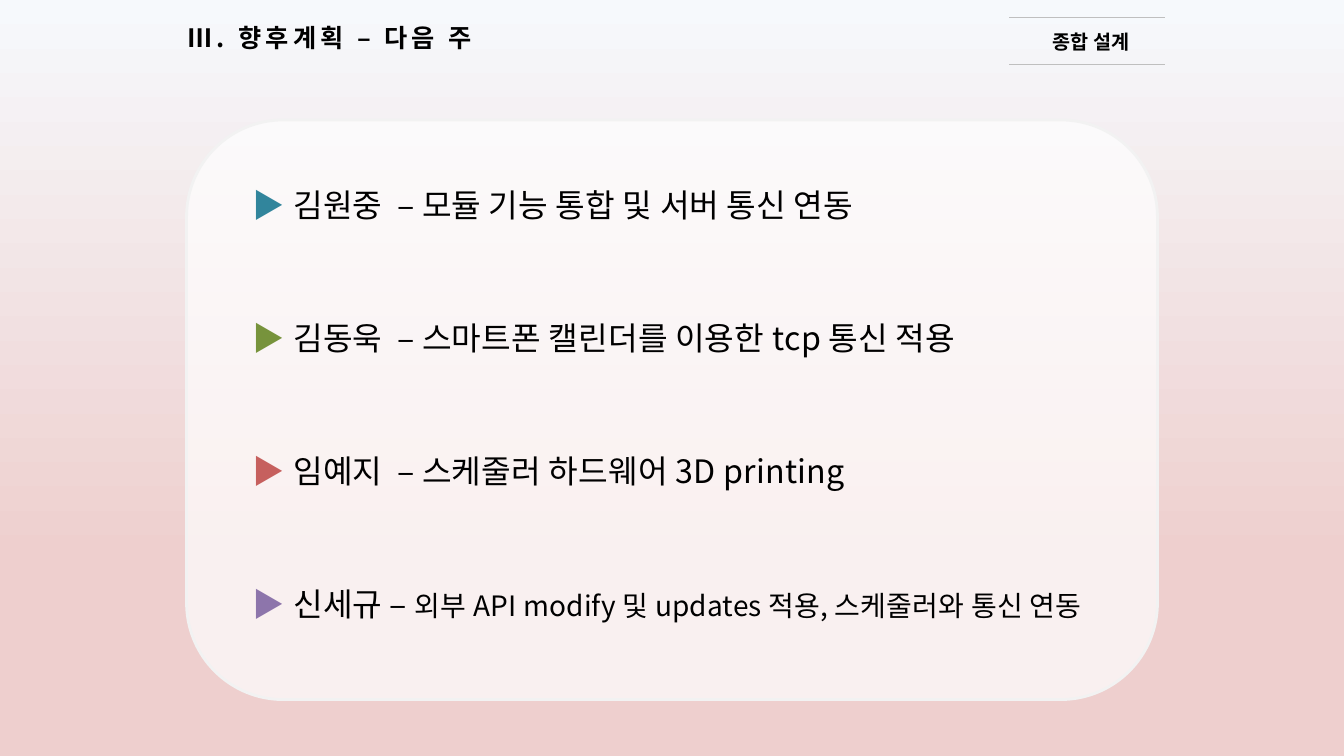
from dataclasses import dataclass

from lxml import etree
from pptx import Presentation
from pptx.dml.color import RGBColor
from pptx.enum.shapes import MSO_CONNECTOR, MSO_SHAPE
from pptx.enum.text import MSO_ANCHOR, MSO_AUTO_SIZE, PP_ALIGN
from pptx.oxml.ns import qn
from pptx.util import Inches, Pt

ROUNDED = MSO_SHAPE.ROUNDED_RECTANGLE
STRAIGHT = MSO_CONNECTOR.STRAIGHT
TOP = MSO_ANCHOR.TOP
NO_FIT = MSO_AUTO_SIZE.NONE
LEFT, RIGHT = PP_ALIGN.LEFT, PP_ALIGN.RIGHT
WIDTH, HEIGHT = Inches(13.33), Inches(7.5)
TITLE_ONLY = 5


@dataclass(frozen=True)
class Theme:
    font: str = "Noto Sans CJK KR"
    ink: str = "000000"
    sky: str = "F6F9FC"
    blush: str = "EECFCE"
    panel: str = "FFFFFF"
    panel_edge: str = "F2F2F2"
    rule: str = "BFBFBF"
    markers: tuple = ("31859C", "77933C", "C6605E", "8D75AB")
    title_size: int = 18
    label_size: int = 14
    plan_size: int = 23
    detail_size: int = 20
    title_spacing: int = 290
    plan_spacing: int = 10


THEME = Theme()
PLANS = (
    ("김원중  – 모듈 기능 통합 및 서버 통신 연동", ""),
    ("김동욱  – 스마트폰 캘린더를 이용한 tcp 통신 적용", ""),
    ("임예지  – 스케줄러 하드웨어 3D printing", ""),
    ("신세규 – ", "외부 API modify 및 updates 적용, 스케줄러와 통신 연동"),
)
FIRST_ROW, ROW_PITCH, ROW_HEIGHT = 23.87, 17.6, 6.53


def color(code):
    return RGBColor.from_string(code)


def across(percent):
    return round(WIDTH * percent / 100)


def down(percent):
    return round(HEIGHT * percent / 100)


def area(left, top, width, height):
    return across(left), down(top), across(width), down(height)


def format_span(span, size, ink=THEME.ink, bold=False, spacing=0):
    font = span.font
    font.name, font.size, font.bold = THEME.font, Pt(size), bold
    font.color.rgb = color(ink)
    properties = font._element
    if spacing:
        properties.set("spc", str(spacing))
    latin = properties.find(qn("a:latin"))
    east_asian = etree.Element(qn("a:ea"), typeface=THEME.font)
    latin.addnext(east_asian)


def add_text(page, place, text, size, align=LEFT, wrap=True, **style):
    box = page.shapes.add_textbox(*place)
    frame = box.text_frame
    frame.word_wrap = wrap
    frame.text = text
    para = frame.paragraphs[0]
    para.alignment = align
    format_span(para.runs[0], size, **style)
    return para


def paint_background(page):
    fill = page.background.fill
    fill.gradient()
    fill.gradient_angle = 270
    stops = zip(fill.gradient_stops, (THEME.sky, THEME.blush), (0, 0.74))
    for stop, code, position in stops:
        stop.color.rgb = color(code)
        stop.position = position


def set_title(page, text):
    box = page.shapes.title
    box.left, box.top, box.width, box.height = area(13.2, 2.27, 38.26, 9.47)
    frame = box.text_frame
    frame.text = text
    frame.word_wrap = True
    frame.auto_size = NO_FIT
    frame.vertical_anchor = TOP
    para = frame.paragraphs[0]
    para.alignment = LEFT
    format_span(para.runs[0], THEME.title_size, bold=True, spacing=THEME.title_spacing)


def add_panel(page):
    panel = page.shapes.add_shape(ROUNDED, *area(13.88, 15.87, 72.24, 76.67))
    panel.shadow.inherit = False
    panel.fill.solid()
    panel.fill.fore_color.rgb = color(THEME.panel)
    tint = panel._element.spPr.find(qn("a:solidFill"))[0]
    etree.SubElement(tint, qn("a:alpha"), val="70000")
    panel.line.color.rgb = color(THEME.panel_edge)
    panel.line.width = Pt(2)


def add_rule(page, height):
    rule = page.shapes.add_connector(
        STRAIGHT, across(75.09), down(height), across(86.65), down(height))
    rule.line.color.rgb = color(THEME.rule)
    rule.line.width = Pt(0.75)
    etree.SubElement(rule._element.spPr, qn("a:effectLst"))


def add_course_label(page, text):
    add_text(page, area(77.04, 3.33, 7.73, 4.53), text, THEME.label_size,
             align=RIGHT, wrap=False, bold=True)
    for height in (2.27, 8.53):
        add_rule(page, height)


def add_plan(page, row, marker, plan, detail):
    top = FIRST_ROW + row * ROW_PITCH
    spacing = THEME.plan_spacing
    para = add_text(page, area(21.08, top, 65.57, ROW_HEIGHT), plan,
                    THEME.plan_size, spacing=spacing)
    if detail:
        span = para.add_run()
        span.text = detail
        format_span(span, THEME.detail_size, spacing=spacing)
    add_text(page, area(18.08, top, 5.93, ROW_HEIGHT), "▶",
             THEME.plan_size, ink=marker)


def main():
    deck = Presentation()
    deck.slide_width, deck.slide_height = WIDTH, HEIGHT
    page = deck.slides.add_slide(deck.slide_layouts[TITLE_ONLY])
    paint_background(page)
    set_title(page, "Ⅲ. 향후계획 – 다음 주")
    add_panel(page)
    add_course_label(page, "종합 설계")
    for row, (marker, (plan, detail)) in enumerate(zip(THEME.markers, PLANS)):
        add_plan(page, row, marker, plan, detail)
    deck.save("out.pptx")


main()
